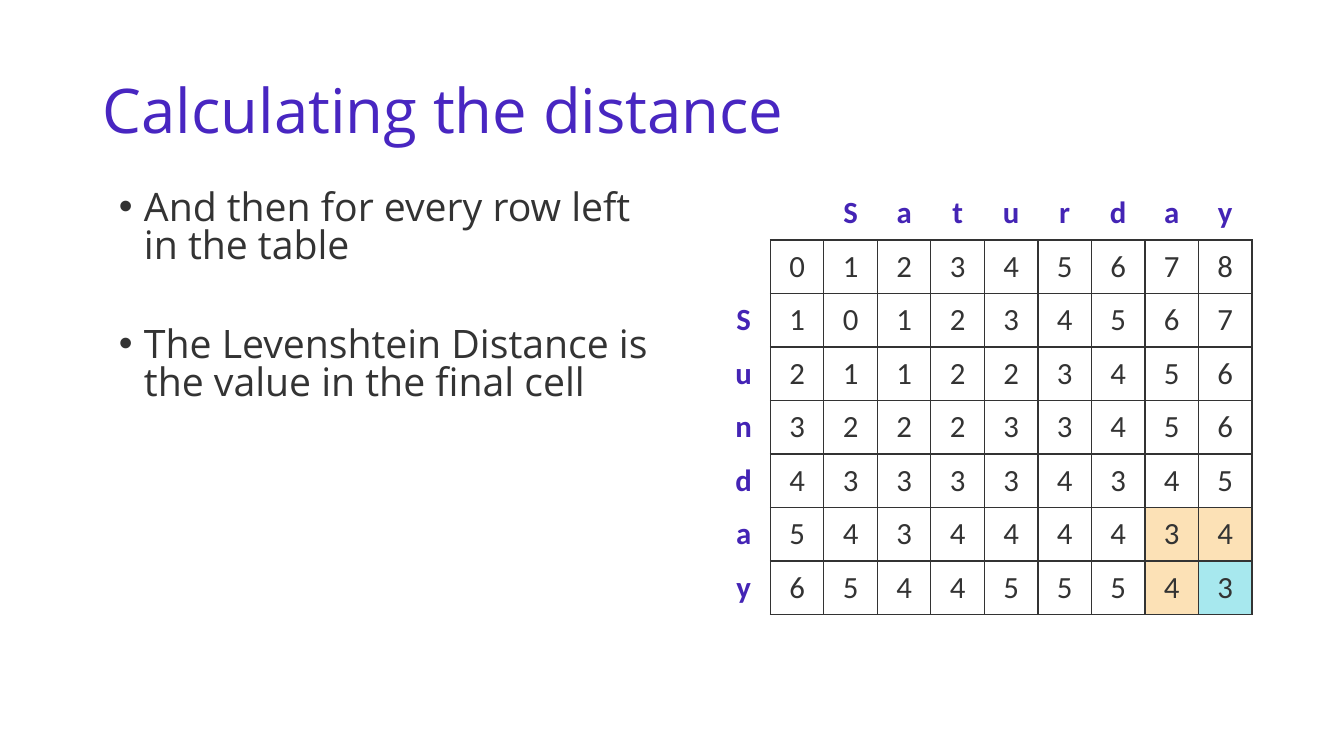
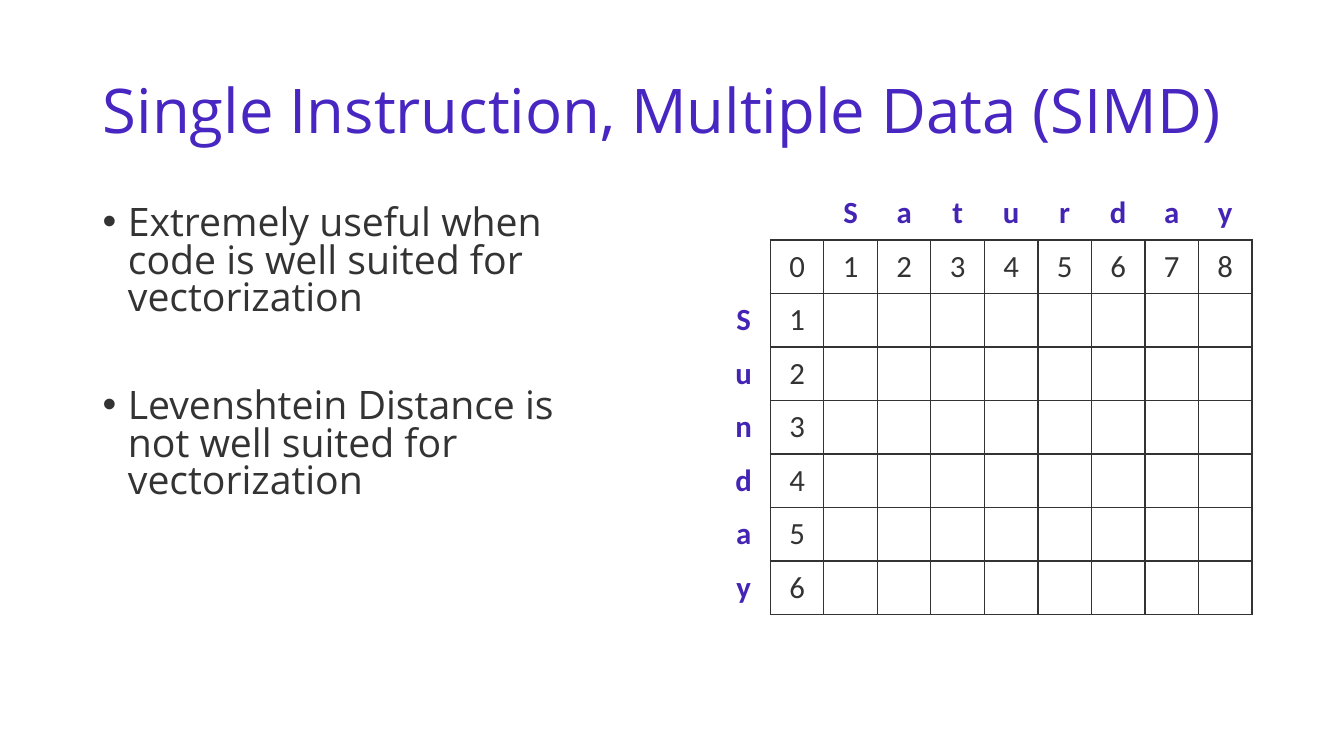
from lxml import etree
from pptx import Presentation
from pptx import util as u
from pptx.dml.color import RGBColor
from pptx.enum import text
from pptx.oxml.ns import qn

INK, WHITE, PEACH, AQUA = "333333", "FFFFFF", "FCE1B6", "A7E8EE"
TITLE = {"name": "Open Sans", "size": u.Pt(44), "color": "4826C1"}
BODY = {"name": "Open Sans", "size": u.Pt(28), "color": INK}
DIGIT = {"name": "Calibri", "size": u.Pt(22), "color": INK, "bold": False}
LETTER = {**DIGIT, "color": "4424B5", "bold": True}
ACROSS, DOWN = "Saturday", "Sunday"
ROWS, COLS = len(DOWN) + 2, len(ACROSS) + 2
SIDE = u.Inches(5.31) // COLS


def style(font, look):
    for key, val in look.items():
        if key == "color":
            font.color.rgb = RGBColor.from_string(val)
        else:
            setattr(font, key, val)


def edge(cell, side, shown):
    """Draw one border of a cell, or clear it."""
    line = etree.SubElement(cell._tc.get_or_add_tcPr(), qn(f"a:ln{side}"), w=str(u.Pt(1)))
    fill = etree.SubElement(line, qn("a:solidFill" if shown else "a:noFill"))
    if shown:
        etree.SubElement(fill, qn("a:srgbClr"), val=INK)


# Edit distances between all prefixes of the two words
dist = [list(range(len(ACROSS) + 1))]
for i, low in enumerate(DOWN, 1):
    row = [i]
    for j, top in enumerate(ACROSS, 1):
        row.append(min(dist[-1][j] + 1, row[-1] + 1, dist[-1][j - 1] + (low != top)))
    dist.append(row)

# title, body left / top / width / height, gap between points, points, full table
slides = [
    ("Calculating the distance", (1.08, 1.85, 5.54, 4.91), 44,
     ["And then for every row left in the table",
      "The Levenshtein Distance is the value in the final cell"], True),
    ("Single Instruction, Multiple Data (SIMD)", (0.92, 2, 5.31, 4.76), 50,
     ["Extremely useful when code is well suited for vectorization",
      "Levenshtein Distance is not well suited for vectorization"], False),
]
marks = {(6, 8): PEACH, (6, 9): PEACH, (7, 8): PEACH, (7, 9): AQUA}

prs = Presentation()
prs.slide_width, prs.slide_height = u.Inches(13.33), u.Inches(7.5)

for name, spot, gap, points, full in slides:
    slide = prs.slides.add_slide(prs.slide_layouts[5])

    title = slide.shapes.title
    title.left, title.top = u.Inches(0.92), u.Inches(0.4)
    title.width, title.height = u.Inches(11.5), u.Inches(1.45)
    frame = title.text_frame
    frame.text = name
    frame.auto_size = text.MSO_AUTO_SIZE.NONE
    frame.vertical_anchor = text.MSO_ANCHOR.MIDDLE
    para = frame.paragraphs[0]
    para.alignment, para.line_spacing = text.PP_ALIGN.LEFT, 0.9
    style(para.font, TITLE)

    body = slide.shapes.add_textbox(*map(u.Inches, spot)).text_frame
    body.word_wrap = True
    body.text = "\n".join(points)
    for n, para in enumerate(body.paragraphs):
        para.line_spacing = 0.8
        para.space_before = u.Pt(gap if n else 0)
        props = para._p.get_or_add_pPr()
        props.set("marL", str(u.Inches(0.25)))
        props.set("indent", str(-u.Inches(0.25)))
        etree.SubElement(props, qn("a:buFont"), typeface="Arial")
        etree.SubElement(props, qn("a:buChar"), char="•")
        style(para.font, BODY)

    grid = slide.shapes.add_table(ROWS, COLS, u.Inches(7.11), u.Inches(1.85),
                                  SIDE * COLS, SIDE * ROWS).table
    grid.first_row = grid.horz_banding = False
    for col in grid.columns:
        col.width = SIDE
    for r in range(ROWS):
        grid.rows[r].height = SIDE
        for c in range(COLS):
            cell = grid.cell(r, c)
            inner = r > 0 and c > 0
            for side, shown in zip("LRTB", (inner, r > 0, inner, c > 0)):
                edge(cell, side, shown)
            cell.fill.solid()
            shade = marks.get((r, c), WHITE) if full else WHITE
            cell.fill.fore_color.rgb = RGBColor.from_string(shade)
            cell.vertical_anchor = text.MSO_ANCHOR.MIDDLE
            cell.margin_left = cell.margin_right = u.Inches(0.12)
            cell.margin_top = cell.margin_bottom = u.Inches(0.06)
            if inner:
                label = str(dist[r - 1][c - 1]) if full or r == 1 or c == 1 else ""
            else:
                label = ACROSS[c - 2] if c > 1 else DOWN[r - 2] if r > 1 else ""
            if label:
                cell.text = label
                para = cell.text_frame.paragraphs[0]
                para.alignment = text.PP_ALIGN.CENTER
                style(para.font, DIGIT if inner else LETTER)

prs.save("out.pptx")
